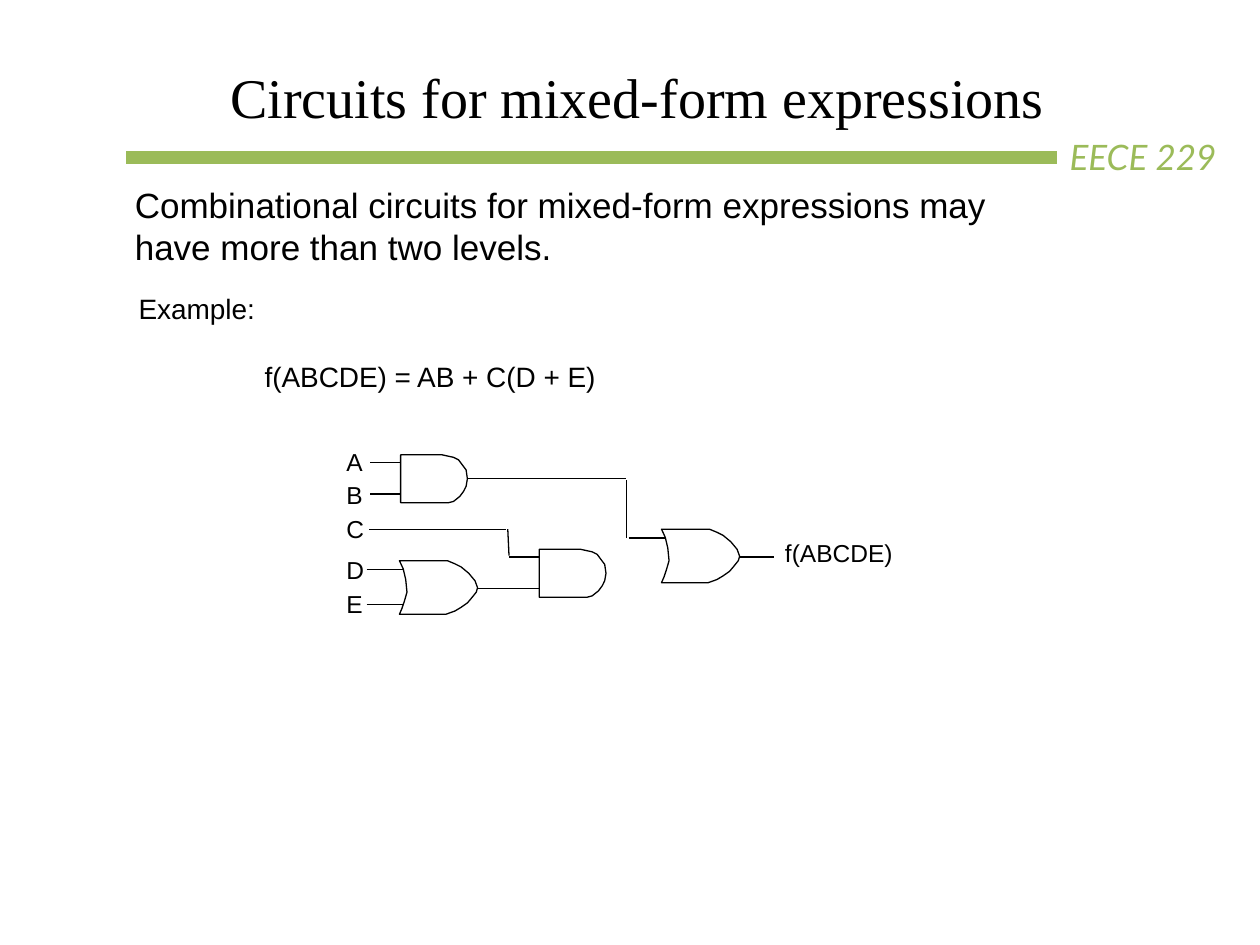
from lxml import etree
from pptx import Presentation
from pptx.dml.color import RGBColor
from pptx.enum.shapes import MSO_CONNECTOR
from pptx.enum.text import MSO_ANCHOR, PP_ALIGN
from pptx.oxml.ns import qn
from pptx.util import Inches, Pt

LINE = MSO_CONNECTOR.STRAIGHT
LEFT, MID, JUST = PP_ALIGN.LEFT, PP_ALIGN.CENTER, PP_ALIGN.JUSTIFY
TOP, CENTER = MSO_ANCHOR.TOP, MSO_ANCHOR.MIDDLE

COLORS = {"ink": "000000", "green": "9BBB59"}
WIDE, HIGH = Inches(10), Inches(7.5)
COL, ROW = WIDE / 100, HIGH / 75  # square grid of 100 columns by 75 rows

# Gate outlines, in grid units from the top left corner
AND = [(0, 0), (0, 3.8), (3.8, 3.8), (4.2, 3.7), (4.7, 3.3), (5, 2.9),
       (5.2, 2.5), (5.3, 1.9), (5.2, 1.2), (4.9, 0.8), (4.6, 0.4),
       (4.2, 0.2), (3.3, 0)]
OR = [(0, 0), (0.3, 0.65), (0.5, 1.5), (0.6, 2.5), (0.4, 3.2), (0.2, 3.8),
      (0, 4.25), (3.7, 4.25), (4.4, 4), (4.9, 3.7), (5.4, 3.35), (5.7, 3),
      (6.1, 2.5), (6.2, 2.15), (6, 1.6), (5.5, 1), (4.9, 0.5), (4.4, 0.25),
      (3.8, 0)]

GATES = [(AND, 31.8, 36.1), (OR, 31.7, 44.5), (AND, 42.8, 43.6), (OR, 52.5, 42)]

WIRES = [
    (29.4, 36.7, 31.8, 36.7), (29.4, 39.2, 31.8, 39.2),  # A, B
    (29.3, 42, 40.2, 42), (40.3, 42, 40.4, 44.1),        # C
    (40.4, 44.2, 42.8, 44.2),
    (29.1, 45.2, 32, 45.2), (29.1, 48, 32, 48),          # D, E
    (37.9, 46.7, 40.6, 46.7), (40.4, 46.7, 42.8, 46.7),  # D + E
    (37.1, 38, 39.4, 38), (38.9, 38, 49.7, 38),          # AB
    (49.7, 38.1, 49.7, 42.7), (49.9, 42.7, 52.8, 42.7),
    (58.7, 44.2, 61.4, 44.2),                            # output
]


def color(name):
    return RGBColor.from_string(COLORS[name])


def spot(x, y):
    return round(x * COL), round(y * ROW)


def wire(slide, ends, tint="ink", width=0.75):
    x1, y1, x2, y2 = ends
    line = slide.shapes.add_connector(LINE, *spot(x1, y1), *spot(x2, y2))
    line.line.color.rgb = color(tint)
    line.line.width = Pt(width)
    etree.SubElement(line._element.spPr, qn("a:effectLst"))


def gate(slide, form, x, y):
    points = [spot(x + dx, y + dy) for dx, dy in form]
    pen = slide.shapes.build_freeform(*points[0])
    pen.add_line_segments(points[1:], close=True)
    shape = pen.convert_to_shape()
    shape.shadow.inherit = False
    shape.fill.background()
    shape.line.color.rgb = color("ink")
    shape.line.width = Pt(0.75)


def text(slide, area, lines, size, face="Arial", tint="ink", align=LEFT,
         anchor=TOP, pad=(0, 0, 0, 0), italic=False, gap=0, space=None):
    x, y, w, h = area
    frame = slide.shapes.add_textbox(*spot(x, y), *spot(w, h)).text_frame
    frame.word_wrap = True
    frame.vertical_anchor = anchor
    left, top, right, low = pad
    frame.margin_left, frame.margin_top = spot(left, top)
    frame.margin_right, frame.margin_bottom = spot(right, low)
    for i, words in enumerate(lines):
        para = frame.paragraphs[0] if i == 0 else frame.add_paragraph()
        para.text = words
        para.alignment = align
        if space:
            para.line_spacing = space
        if i and gap:
            para.space_before = Pt(gap)
        font = para.font
        font.name, font.size, font.italic = face, Pt(size), italic
        font.color.rgb = color(tint)
    return frame


def main():
    deck = Presentation()
    deck.slide_width, deck.slide_height = WIDE, HIGH
    slide = deck.slides.add_slide(deck.slide_layouts[6])

    # Header
    wire(slide, (10, 12.5, 83.9, 12.5), "green", 8)
    text(slide, (83.9, 10.3, 16.7, 4.4), ["EECE 229"], 20, "Lato", "green",
         pad=(1, 0.5, 1, 0.5), italic=True)
    text(slide, (0.4, 3.3, 90, 7), ["Circuits for mixed-form expressions"], 32,
         "Times New Roman", align=MID, anchor=CENTER, pad=(10.4, 1.6, 0, 0))

    # Statement and example
    text(slide, (10.7, 14.6, 73, 6.7),
         ["Combinational circuits for mixed-form expressions may "
          "have more than two levels."], 20)
    example = text(slide, (11, 23.1, 44, 8.1),
                   ["Example:", "f(ABCDE) = AB + C(D + E)"], 16, gap=20)
    formula = example.paragraphs[1]._p.get_or_add_pPr()
    formula.set("marL", str(round(10 * COL)))

    # Circuit
    for form, x, y in GATES:
        gate(slide, form, x, y)
    for ends in WIRES:
        wire(slide, ends)

    # Inputs wrap to one letter a line
    text(slide, (27.5, 35.1, 1.7, 14), ["A B C", "D E"], 14, align=JUST,
         gap=4, space=1.15)
    text(slide, (62.3, 42.7, 8.8, 2.5), ["f(ABCDE)"], 14)

    deck.save("out.pptx")


if __name__ == "__main__":
    main()
